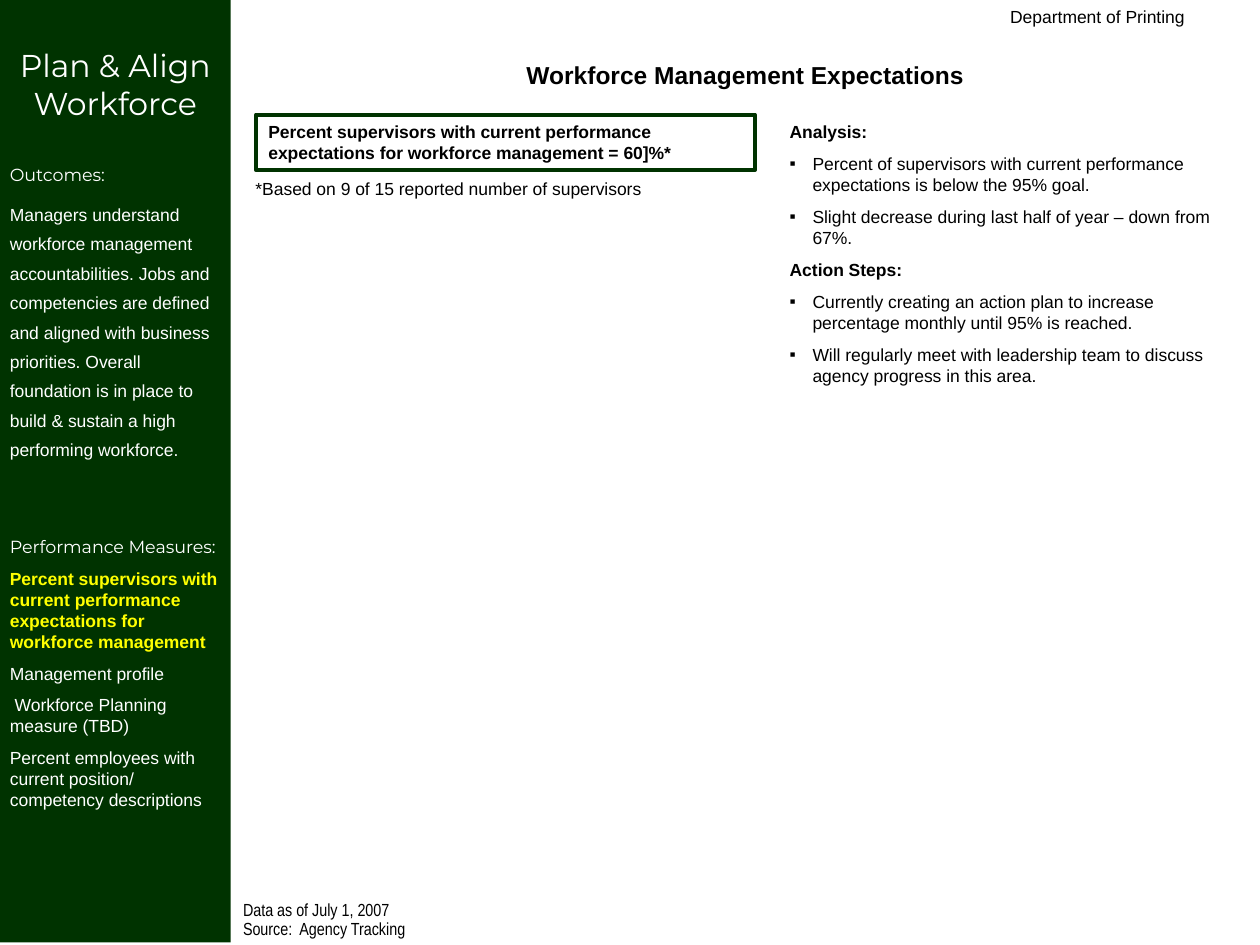
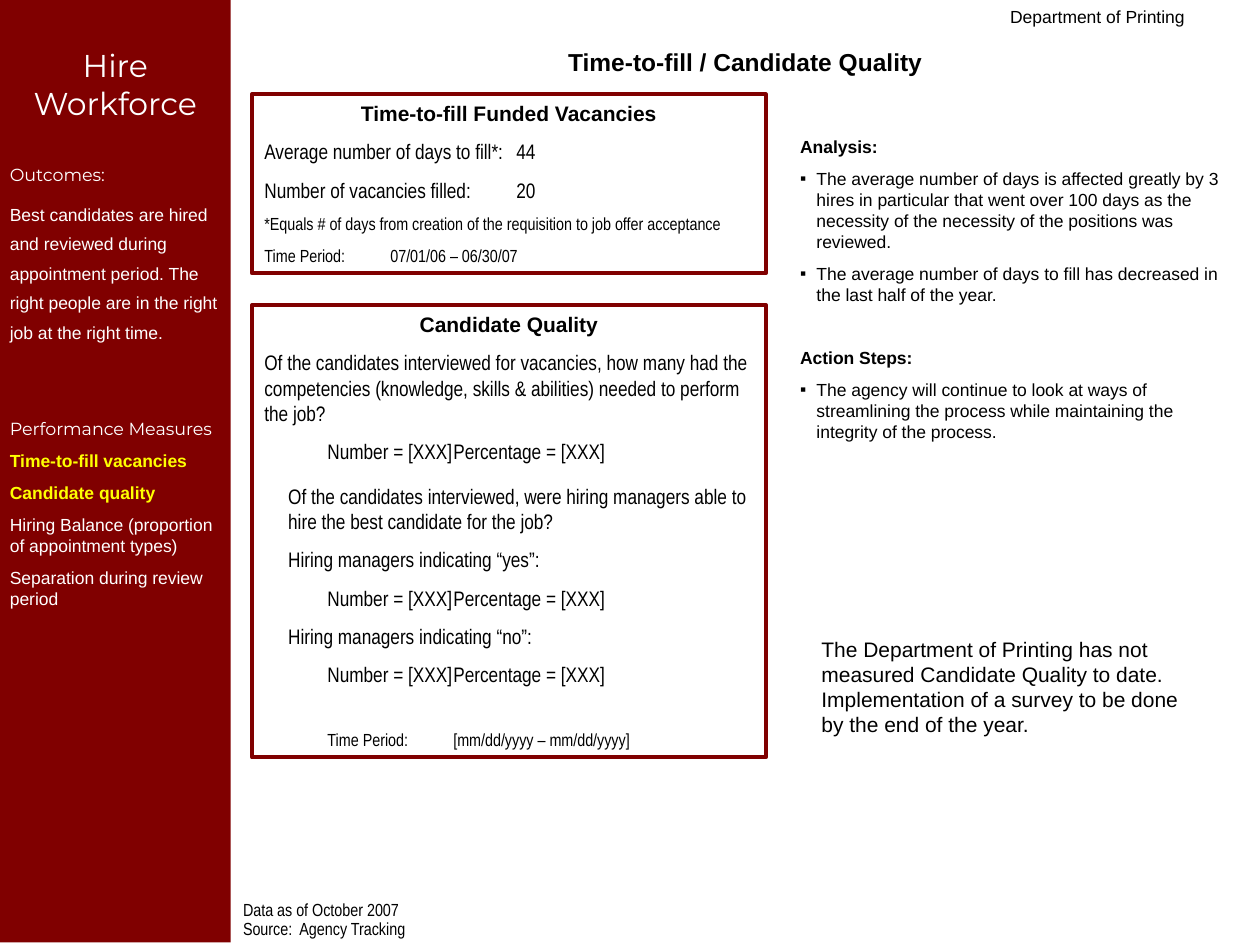
from dataclasses import dataclass

from lxml.etree import SubElement
from pptx import Presentation
from pptx.dml.color import RGBColor
from pptx.enum.shapes import MSO_SHAPE
from pptx.enum.text import MSO_ANCHOR, MSO_AUTO_SIZE, PP_ALIGN
from pptx.oxml.ns import qn
from pptx.util import Cm, Pt


@dataclass(frozen=True)
class Theme:
    # Colours
    ink: str = "000000"
    white: str = "FFFFFF"
    mark: str = "FFFF00"
    green: str = "003300"
    red: str = "800000"
    # Fonts
    sans: str = "Arial"
    slim: str = "Arial Narrow"
    head: str = "Montserrat"
    # Type sizes
    small: int = 10
    mid: int = 12
    title: int = 14
    large: int = 18
    # Space before paragraphs, in points
    tight: float = 2.5
    near: float = 6.2
    wide: float = 7.5
    ask: float = 11.2
    gap: float = 24
    far: float = 43


T = Theme()


@dataclass
class Line:
    text: str
    size: int = T.small
    face: str = T.sans
    color: str = T.ink
    bold: bool = False
    before: float = T.near
    space: float = 1.0
    align: PP_ALIGN = PP_ALIGN.LEFT
    left: float = 0
    bullet: bool = False
    tabs: tuple = ()


class Deck:
    def __init__(self, theme):
        self.theme = theme
        self.file = Presentation()
        self.file.slide_width, self.file.slide_height = Cm(25.4), Cm(19.05)
        self.slide = None

    # Shared elements
    def page(self, title, top, date):
        t = self.theme
        self.slide = self.file.slides.add_slide(self.file.slide_layouts[5])
        shape = self.slide.shapes.title
        shape.left, shape.top = Cm(4.65), Cm(top)
        shape.width, shape.height = Cm(20.75), Cm(0.86)
        self.fill(shape, [Line(title, t.title, bold=True, align=PP_ALIGN.CENTER)])
        self.text((11.43, 0, 12.7, 0.64),
                  [Line("Department of Printing", align=PP_ALIGN.RIGHT)])
        self.text((4.65, 18.11, 12.27, 0.94),
                  [Line(words, face=t.slim, before=t.tight, space=0.7)
                   for words in (date, "Source:  Agency Tracking")])

    def side(self, color, name, goal, label, marked, others):
        t = self.theme
        lines = [
            Line(name, t.large, t.head, t.white, align=PP_ALIGN.CENTER),
            Line("Outcomes:", face=t.head, color=t.white, before=t.gap),
            Line(goal, color=t.white, space=1.4),
            Line(label, face=t.head, color=t.white, before=t.far),
        ]
        lines += [Line(words, color=t.mark, bold=True) for words in marked]
        lines += [Line(words, color=t.white) for words in others]
        band = self.rect((0, 0, 4.65, 19))
        band.fill.solid()
        band.fill.fore_color.rgb = RGBColor.from_string(color)
        band.line.fill.background()
        self.fill(band, lines, (0.2, 0.93))

    # Basic elements
    def rect(self, place):
        shape = self.slide.shapes.add_shape(MSO_SHAPE.RECTANGLE, *map(Cm, place))
        shape.shadow.inherit = False
        return shape

    def box(self, place, color, lines):
        shape = self.rect(place)
        shape.fill.background()
        shape.line.color.rgb = RGBColor.from_string(color)
        shape.line.width = Pt(2.25)
        self.fill(shape, lines)

    def text(self, place, lines):
        self.fill(self.slide.shapes.add_textbox(*map(Cm, place)), lines)

    def notes(self, place, indent, groups, gap):
        lines = []
        for head, points in groups:
            lines.append(Line(head, bold=True, before=gap))
            lines += [Line(words, left=indent, bullet=True) for words in points]
        self.text(place, lines)

    # Text
    def fill(self, shape, lines, inset=(0.25, 0.13)):
        frame = shape.text_frame
        frame.word_wrap = True
        frame.auto_size = MSO_AUTO_SIZE.NONE
        frame.vertical_anchor = MSO_ANCHOR.TOP
        frame.margin_left = frame.margin_right = Cm(inset[0])
        frame.margin_top, frame.margin_bottom = Cm(inset[1]), Cm(0.1)
        for i, line in enumerate(lines):
            para = frame.add_paragraph() if i else frame.paragraphs[0]
            self.form(para, line)
            para.alignment = line.align
            para.line_spacing = line.space
            para.space_before = Pt(line.before if i else 0)
            run = para.add_run()
            run.text = line.text
            font = run.font
            font.name, font.size, font.bold = line.face, Pt(line.size), line.bold
            font.color.rgb = RGBColor.from_string(line.color)

    def form(self, para, line):
        props = para._p.get_or_add_pPr()
        props.set("marL", str(Cm(line.left)))
        props.set("indent", str(-Cm(line.left) if line.bullet else 0))
        if line.bullet:
            tint = SubElement(props, qn("a:buClr"))
            SubElement(tint, qn("a:srgbClr"), val=line.color)
            SubElement(props, qn("a:buFont"), typeface=line.face)
            SubElement(props, qn("a:buChar"), char="▪")
        else:
            SubElement(props, qn("a:buNone"))
        if line.tabs:
            stops = SubElement(props, qn("a:tabLst"))
            for pos, kind in line.tabs:
                SubElement(stops, qn("a:tab"), pos=str(Cm(pos)), algn=kind)


def plan(deck):
    t = deck.theme
    deck.page("Workforce Management Expectations", 1.07, "Data as of July 1, 2007")
    deck.side(
        t.green, "Plan & Align Workforce",
        "Managers understand workforce management accountabilities. Jobs and "
        "competencies are defined and aligned with business priorities. Overall "
        "foundation is in place to build & sustain a high performing workforce.",
        "Performance Measures:",
        ["Percent supervisors with current performance expectations for "
         "workforce management"],
        ["Management profile",
         " Workforce Planning measure (TBD)",
         "Percent employees with current position/ competency descriptions"])

    # Key figure
    deck.box((5.16, 2.31, 10.06, 1.12), t.green, [
        Line("Percent supervisors with current performance expectations for "
             "workforce management = 60]%*", bold=True)])
    deck.text((4.9, 3.45, 10.06, 0.69),
              [Line("*Based on 9 of 15 reported number of supervisors")])

    # Analysis
    deck.notes((15.67, 2.31, 9.04, 7.54), 0.46, [
        ("Analysis:", [
            "Percent of supervisors with current performance expectations is "
            "below the 95% goal.",
            "Slight decrease during last half of year – down from 67%."]),
        ("Action Steps:", [
            "Currently creating an action plan to increase percentage monthly "
            "until 95% is reached.",
            "Will regularly meet with leadership team to discuss agency "
            "progress in this area."]),
    ], t.near)


def hire(deck):
    t = deck.theme
    deck.page("Time-to-fill / Candidate Quality", 0.81, "Data as of October 2007")
    deck.side(
        t.red, "Hire Workforce",
        "Best candidates are hired and reviewed during appointment period. The "
        "right people are in the right job at the right time.",
        "Performance Measures",
        ["Time-to-fill vacancies", "Candidate quality"],
        ["Hiring Balance (proportion of appointment types)",
         "Separation during review period"])

    def head(words):
        return Line(words, t.mid, bold=True, align=PP_ALIGN.CENTER)

    def body(words, left=0, before=t.wide, tabs=()):
        return Line(words, t.mid, t.slim, before=before, left=left, tabs=tabs)

    def count(first, second):
        return body("\tNumber = [XXX]\tPercentage = [XXX]",
                    tabs=((first, "l"), (second, "l")))

    # Time to fill
    edge = ((8.59, "r"),)
    deck.box((5.08, 1.9, 10.36, 3.61), t.red, [
        head("Time-to-fill Funded Vacancies"),
        body("Average number of days to fill*:\t44", tabs=edge),
        body("Number of vacancies filled:\t20", tabs=edge),
        Line("*Equals # of days from creation of the requisition to job offer "
             "acceptance", face=t.slim),
        Line("Time Period:\t07/01/06 – 06/30/07", face=t.slim,
             tabs=((1.86, "l"),)),
    ])

    # Candidate quality
    step = 0.48
    deck.box((5.08, 6.15, 10.36, 9.12), t.red, [
        head("Candidate Quality"),
        body("Of the candidates interviewed for vacancies, how many had the "
             "competencies (knowledge, skills & abilities) needed to perform "
             "the job?"),
        count(step, 3.28),
        body("Of the candidates interviewed, were hiring managers able to hire "
             "the best candidate for the job?", step, t.ask),
        body("Hiring managers indicating “yes”:", step),
        count(1.15, 4.14),
        body("Hiring managers indicating “no”:", step),
        count(1.06, 4.05),
        Line("\tTime Period:\t[mm/dd/yyyy – mm/dd/yyyy]", face=t.slim,
             before=t.gap, tabs=((step, "l"), (2.35, "l"))),
    ])

    # Analysis
    deck.notes((15.88, 2.62, 9.09, 7.75), 0.33, [
        ("Analysis:", [
            "The average number of days is affected greatly by 3 hires in "
            "particular that went over 100 days as the necessity of the "
            "necessity of the positions was reviewed.",
            "The average number of days to fill has decreased in the last half "
            "of the year."]),
        ("Action Steps:", [
            "The agency will continue to look at ways of streamlining the "
            "process while maintaining the integrity of the process."]),
    ], t.gap)
    deck.text((16.31, 12.7, 8.05, 3.07), [
        Line("The Department of Printing has not measured Candidate Quality to "
             "date. Implementation of a survey to be done by the end of the "
             "year.", t.mid)])


def main():
    deck = Deck(T)
    plan(deck)
    hire(deck)
    deck.file.save("out.pptx")


if __name__ == "__main__":
    main()
